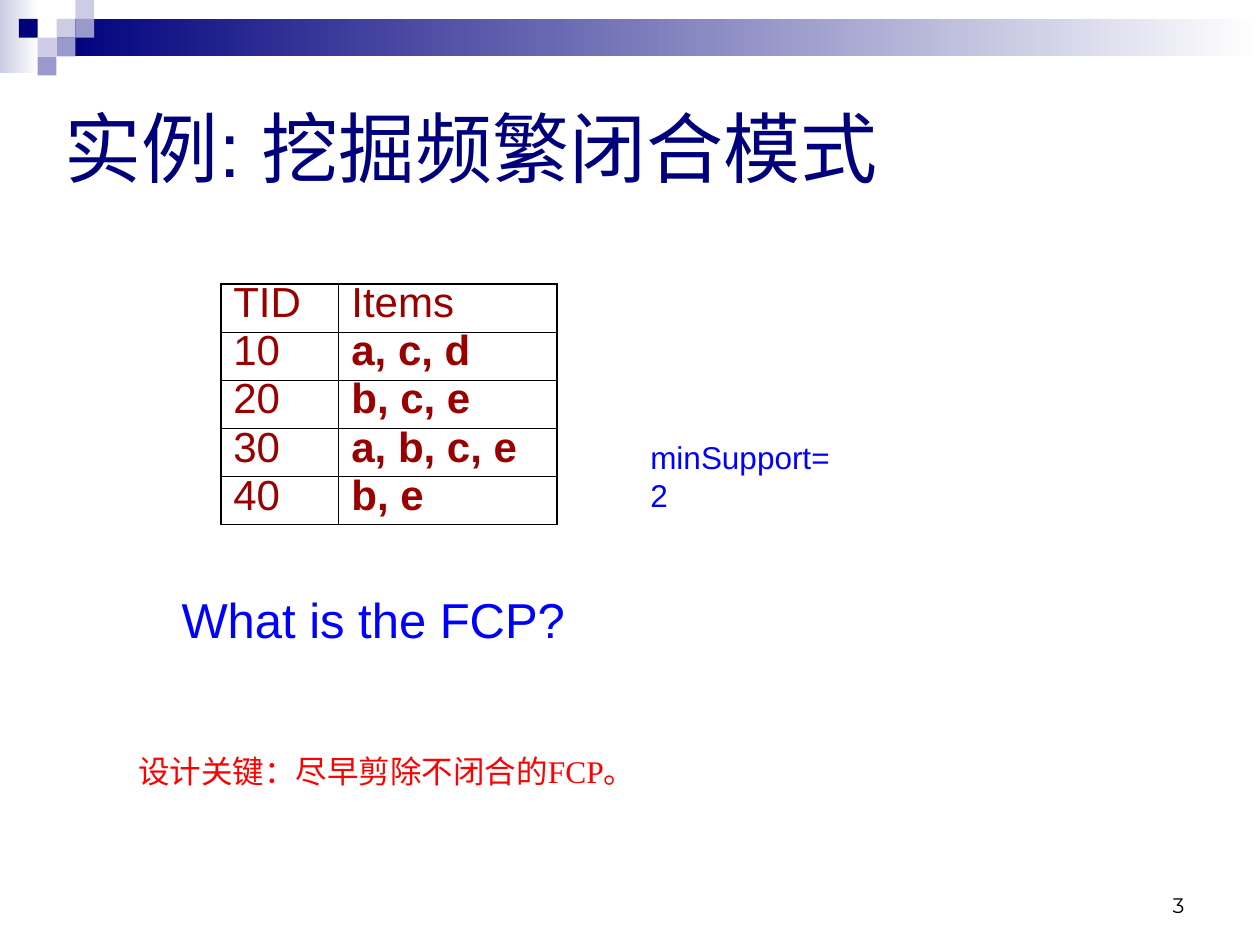
from dataclasses import dataclass

from lxml.etree import SubElement
from pptx import Presentation
from pptx.dml.color import RGBColor
from pptx.enum.shapes import MSO_SHAPE
from pptx.enum.text import MSO_ANCHOR, MSO_AUTO_SIZE, PP_ALIGN
from pptx.oxml.ns import qn
from pptx.util import Cm, Pt

COLORS = {
    "navy": "00007D", "lavender": "CCCCE6", "periwinkle": "9999CC",
    "white": "FFFFFF", "black": "000000", "maroon": "990000",
    "blue": "0000FF", "red": "FF0000",
}
TILE = 0.38
OUTER_BORDER, INNER_BORDER = 1.08, 0.45


@dataclass
class Band:
    left: float
    top: float
    width: float
    height: float
    start: str


@dataclass
class Tile:
    column: int
    row: int
    color: str


@dataclass
class Label:
    text: str
    left: float
    top: float
    width: float
    height: float
    size: float
    color: str
    font: str = "Arial"
    wrap: bool = True
    grow: bool = False
    anchor: MSO_ANCHOR = MSO_ANCHOR.TOP
    align: PP_ALIGN = PP_ALIGN.LEFT


BANDS = [
    Band(0, 0, 0.79, 1.47, "lavender"),
    Band(1.14, TILE, 24.26, 0.76, "navy"),
]
TILES = [
    Tile(3, 1, "lavender"), Tile(4, 0, "lavender"), Tile(4, 1, "periwinkle"),
    Tile(2, 2, "lavender"), Tile(1, 1, "navy"), Tile(3, 2, "periwinkle"),
    Tile(2, 3, "periwinkle"),
]
LABELS = [
    Label("3", 18.2, 17.36, 5.93, 1.27, 12, "black", font="Montserrat",
          anchor=MSO_ANCHOR.BOTTOM, align=PP_ALIGN.RIGHT),
    Label("实例: 挖掘频繁闭合模式", 1.06, 1.06, 22.86, 3.81, 44, "navy",
          anchor=MSO_ANCHOR.MIDDLE),
    Label("minSupport=2", 12.86, 8.71, 4.46, 1.02, 18, "blue", wrap=False, grow=True),
    Label("What is the FCP?", 3.41, 11.76, 8.23, 1.44, 28, "blue", wrap=False, grow=True),
    Label("设计关键：尽早剪除不闭合的FCP。", 2.54, 15.03, 21.59, 1.02, 18, "red",
          font="Times New Roman", grow=True),
]
TRANSACTIONS = [
    ("TID", "Items"),
    ("10", "a, c, d"),
    ("20", "b, c, e"),
    ("30", "a, b, c, e"),
    ("40", "b, e"),
]
COLUMN_WIDTHS = (2.38, 4.4)
ROW_HEIGHT = 0.97


def rgb(color: str) -> RGBColor:
    return RGBColor.from_string(COLORS[color])


def set_font(font, size: float, color: str, name: str = "Arial", bold: bool = False) -> None:
    for attribute, value in {"size": Pt(size), "name": name, "bold": bold}.items():
        setattr(font, attribute, value)
    font.color.rgb = rgb(color)


def add_rectangle(slide, left: float, top: float, width: float, height: float):
    rectangle = slide.shapes.add_shape(
        MSO_SHAPE.RECTANGLE, Cm(left), Cm(top), Cm(width), Cm(height))
    rectangle.shadow.inherit = False
    rectangle.line.fill.background()
    return rectangle


def add_band(slide, band: Band) -> None:
    """Draw a rectangle that fades to white from left to right."""
    fill = add_rectangle(slide, band.left, band.top, band.width, band.height).fill
    fill.gradient()
    fill.gradient_angle = 0
    for stop, color in zip(fill.gradient_stops, (band.start, "white")):
        stop.color.rgb = rgb(color)


def add_tile(slide, tile: Tile) -> None:
    fill = add_rectangle(slide, tile.column * TILE, tile.row * TILE, TILE, TILE).fill
    fill.solid()
    fill.fore_color.rgb = rgb(tile.color)


def add_label(slide, label: Label) -> None:
    frame = slide.shapes.add_textbox(
        Cm(label.left), Cm(label.top), Cm(label.width), Cm(label.height)).text_frame
    settings = {
        "word_wrap": label.wrap,
        "vertical_anchor": label.anchor,
        "auto_size": MSO_AUTO_SIZE.SHAPE_TO_FIT_TEXT if label.grow else MSO_AUTO_SIZE.NONE,
    }
    for attribute, value in settings.items():
        setattr(frame, attribute, value)
    paragraph = frame.paragraphs[0]
    paragraph.alignment = label.align
    run = paragraph.add_run()
    run.text = label.text
    set_font(run.font, label.size, label.color, label.font)


def add_borders(cell, outer_sides: dict[str, bool]) -> None:
    """Give the sides that lie on the table's edge the heavier line."""
    properties = cell._tc.get_or_add_tcPr()
    for side, is_outer in outer_sides.items():
        width = Pt(OUTER_BORDER if is_outer else INNER_BORDER)
        line = SubElement(properties, qn(f"a:ln{side}"), w=str(width))
        SubElement(SubElement(line, qn("a:solidFill")), qn("a:srgbClr"), val=COLORS["black"])


def add_transactions(slide, left: float, top: float) -> None:
    last_row, last_column = len(TRANSACTIONS) - 1, len(COLUMN_WIDTHS) - 1
    table = slide.shapes.add_table(
        last_row + 1, last_column + 1, Cm(left), Cm(top),
        Cm(sum(COLUMN_WIDTHS)), Cm(ROW_HEIGHT * len(TRANSACTIONS))).table
    table.first_row = table.horz_banding = False
    for column, width in zip(table.columns, COLUMN_WIDTHS):
        column.width = Cm(width)
    for r, transaction in enumerate(TRANSACTIONS):
        table.rows[r].height = Cm(ROW_HEIGHT)
        for c, text in enumerate(transaction):
            cell = table.cell(r, c)
            add_borders(cell, {"L": c == 0, "R": c == last_column,
                               "T": r == 0, "B": r == last_row})
            cell.fill.background()
            cell.vertical_anchor = MSO_ANCHOR.MIDDLE
            paragraph = cell.text_frame.paragraphs[0]
            paragraph.line_spacing = 0.7
            run = paragraph.add_run()
            run.text = text
            set_font(run.font, 24, "maroon", bold=r > 0 and c > 0)


def main() -> None:
    presentation = Presentation()
    presentation.slide_width, presentation.slide_height = Cm(25.4), Cm(19.05)
    slide = presentation.slides.add_slide(presentation.slide_layouts[6])
    for band in BANDS:
        add_band(slide, band)
    for tile in TILES:
        add_tile(slide, tile)
    add_transactions(slide, 4.45, 5.72)
    for label in LABELS:
        add_label(slide, label)
    presentation.save("out.pptx")


if __name__ == "__main__":
    main()
